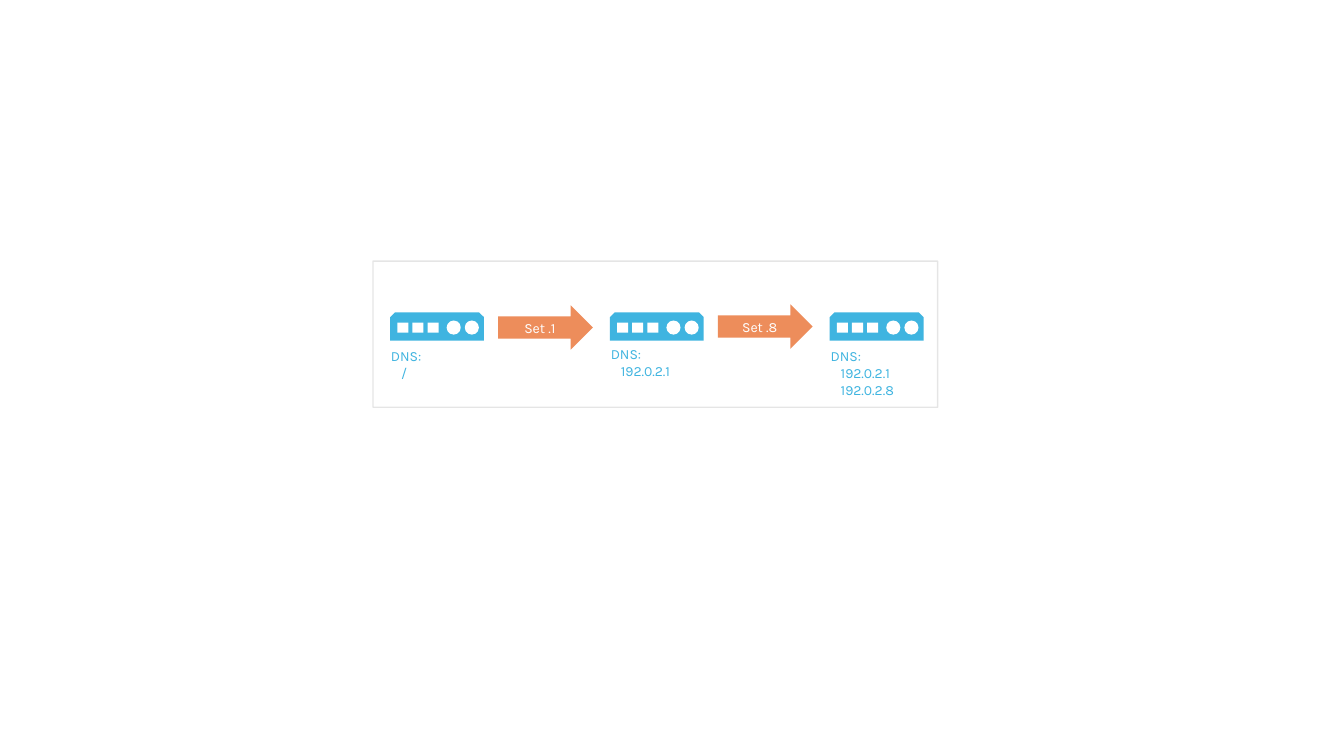
from lxml import etree
from pptx import Presentation
from pptx.dml.color import RGBColor
from pptx.enum.shapes import MSO_SHAPE as Shape
from pptx.enum.text import MSO_ANCHOR, MSO_AUTO_SIZE, PP_ALIGN
from pptx.oxml.ns import qn
from pptx.util import Inches, Pt

# Content: DNS entries with label top, and arrow captions with arrow top
DEVICES = [
    (["/"], 3.4),
    (["192.0.2.1"], 3.38),
    (["192.0.2.1", "192.0.2.8"], 3.4),
]
ARROWS = [("Set .1", 3.03), ("Set .8", 3.02)]

COLORS = {"device": "3FB4E0", "arrow": "E97132", "frame": "808080", "white": "FFFFFF"}
FONT, FONT_SIZE = "Karla", 10

# Layout in inches: one column per device
FIRST_LEFT, COLUMN = 3.87, 2.18
FRAME = (3.7, 2.59, 5.6, 1.45)
DEVICE_TOP, DEVICE_WIDTH, DEVICE_HEIGHT = 3.1, 0.93, 0.28
ARROW_OFFSET, ARROW_WIDTH, ARROW_HEIGHT = 1.07, 0.94, 0.44
LABEL_OFFSET, LABEL_WIDTH, LINE_HEIGHT = -0.09, 1.03, 0.17
ENTRY_INDENT = 0.1
# Ports: shape, first offset, pitch, count, top offset, width, height
PORTS = [
    (Shape.RECTANGLE, 0.07, 0.15, 3, 0.1, 0.11, 0.1),
    (Shape.OVAL, 0.56, 0.18, 2, 0.08, 0.14, 0.14),
]


def set_alpha(color_format_parent, percent):
    color = next(color_format_parent.iter(qn("a:srgbClr")))
    etree.SubElement(color, qn("a:alpha")).set("val", str(percent * 1000))


def add_block(slide, kind, box, color):
    shape = slide.shapes.add_shape(kind, *map(Inches, box))
    shape.shadow.inherit = False
    shape.fill.solid()
    shape.fill.fore_color.rgb = RGBColor.from_string(COLORS[color])
    shape.line.fill.background()
    return shape


def write(paragraph, text, color):
    paragraph.text = text
    paragraph.font.name = FONT
    paragraph.font.size = Pt(FONT_SIZE)
    paragraph.font.color.rgb = RGBColor.from_string(COLORS[color])


def add_frame(slide):
    frame = add_block(slide, Shape.RECTANGLE, FRAME, "white")
    frame.fill.background()
    frame.line.color.rgb = RGBColor.from_string(COLORS["frame"])
    frame.line.width = Pt(1)
    set_alpha(frame.line._ln, 20)


def add_device(slide, left):
    add_block(slide, Shape.SNIP_2_SAME_RECTANGLE,
              (left, DEVICE_TOP, DEVICE_WIDTH, DEVICE_HEIGHT), "device")
    for kind, offset, pitch, count, top, width, height in PORTS:
        for index in range(count):
            add_block(slide, kind,
                      (left + offset + index * pitch, DEVICE_TOP + top, width, height), "white")


def add_label(slide, left, top, entries):
    lines = ["DNS:", *entries]
    height = 0.1 + LINE_HEIGHT * len(lines)
    label = slide.shapes.add_textbox(*map(Inches, (left, top, LABEL_WIDTH, height)))
    text_frame = label.text_frame
    text_frame.word_wrap = True
    text_frame.auto_size = MSO_AUTO_SIZE.SHAPE_TO_FIT_TEXT
    for index, line in enumerate(lines):
        paragraph = text_frame.add_paragraph() if index else text_frame.paragraphs[0]
        if index:
            paragraph._p.get_or_add_pPr().set("marL", str(Inches(ENTRY_INDENT)))
        write(paragraph, line, "device")


def add_arrow(slide, left, top, caption):
    arrow = add_block(slide, Shape.RIGHT_ARROW, (left, top, ARROW_WIDTH, ARROW_HEIGHT), "arrow")
    set_alpha(arrow._element.spPr, 80)
    arrow.text_frame.vertical_anchor = MSO_ANCHOR.MIDDLE
    paragraph = arrow.text_frame.paragraphs[0]
    paragraph.alignment = PP_ALIGN.CENTER
    write(paragraph, caption, "white")


def main():
    presentation = Presentation()
    presentation.slide_width, presentation.slide_height = Inches(13.33), Inches(7.5)
    slide = presentation.slides.add_slide(presentation.slide_layouts[6])

    add_frame(slide)
    # Devices with their DNS entries
    for column, (entries, label_top) in enumerate(DEVICES):
        left = FIRST_LEFT + column * COLUMN
        add_device(slide, left)
        add_label(slide, left + LABEL_OFFSET, label_top, entries)
    # Arrows between the devices
    for column, (caption, top) in enumerate(ARROWS):
        add_arrow(slide, FIRST_LEFT + column * COLUMN + ARROW_OFFSET, top, caption)

    presentation.save("out.pptx")


if __name__ == "__main__":
    main()
